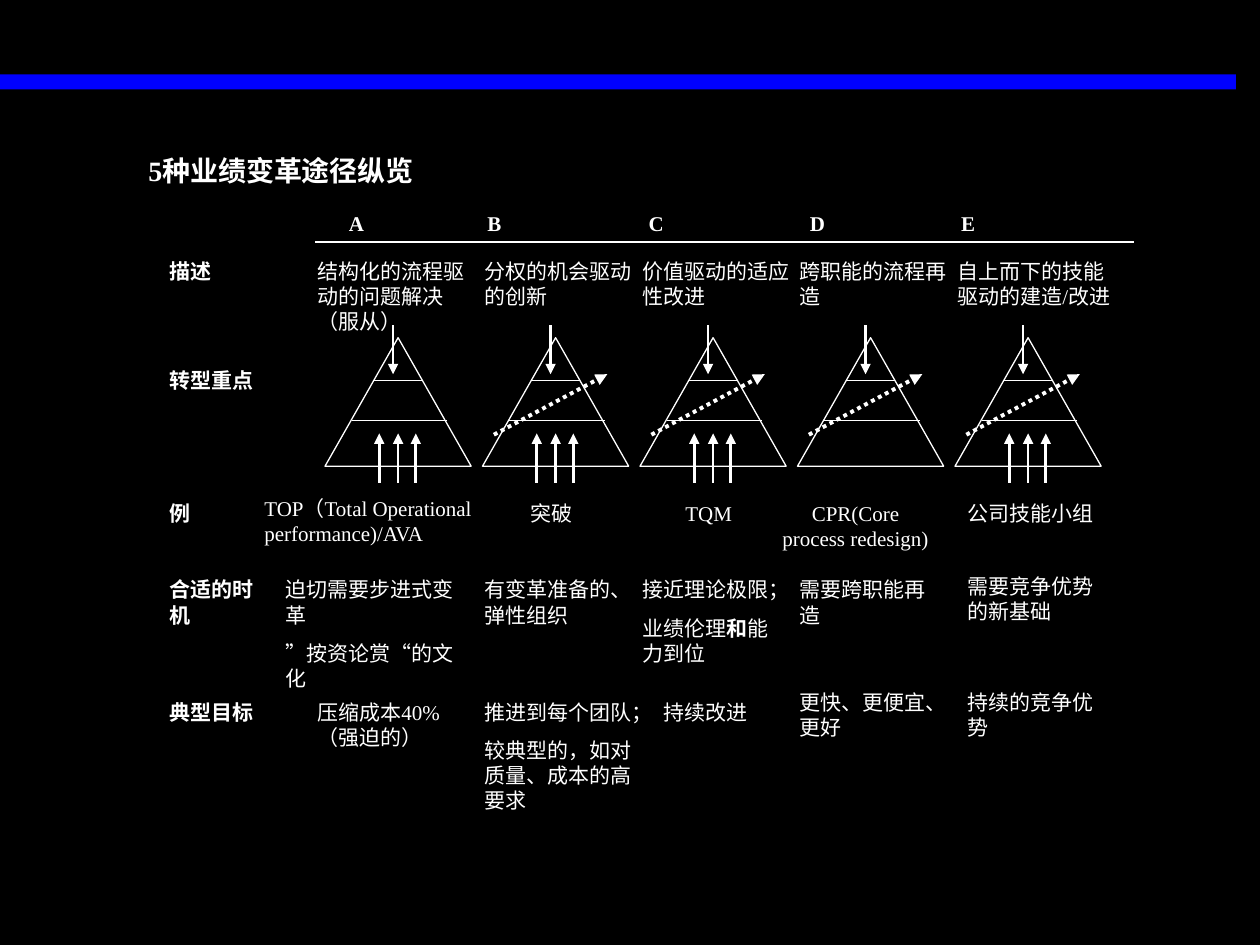
from dataclasses import dataclass

from lxml import etree
from pptx import Presentation
from pptx.dml.color import RGBColor
from pptx.enum.dml import MSO_LINE_DASH_STYLE as Dash
from pptx.enum.shapes import MSO_CONNECTOR as Connector, MSO_SHAPE as Preset
from pptx.enum.text import MSO_AUTO_SIZE as AutoSize, PP_ALIGN as Align
from pptx.oxml.ns import qn
from pptx.util import Inches, Pt

BLACK, WHITE, BLUE = "000000", "FFFFFF", "0000FE"
FONT = "Times New Roman"
LABEL_LEFT = 1.25
PYRAMID_LEFT, PYRAMID_PITCH = 2.58, 1.25


@dataclass
class TextBlock:
    """Each paragraph is a tuple of runs; every second run switches weight."""
    left: float
    top: float
    width: float
    height: float
    paragraphs: tuple[tuple[str, ...], ...]
    align: Align = Align.LEFT
    bold: bool = False
    size: float = 12
    tabs: tuple[float, ...] = ()


@dataclass
class Label:
    text: str
    top: float
    width: float = 1
    height: float = 0.3


@dataclass
class Stroke:
    start: tuple[float, float]
    end: tuple[float, float]
    width: float = 0.75
    arrow: bool = False
    dash: Dash | None = None


@dataclass
class Approach:
    has_diagonal: bool = True
    has_upward: bool = True


def color(value: str) -> RGBColor:
    return RGBColor.from_string(value)


def apply_format(target, values: dict) -> None:
    for name, value in values.items():
        setattr(target, name, value)


def add_text(shapes, block: TextBlock) -> None:
    box = shapes.add_textbox(*map(Inches, (block.left, block.top, block.width, block.height)))
    frame = box.text_frame
    apply_format(frame, {"word_wrap": True, "auto_size": AutoSize.SHAPE_TO_FIT_TEXT})
    for index, runs in enumerate(block.paragraphs):
        paragraph = frame.add_paragraph() if index else frame.paragraphs[0]
        paragraph.alignment = block.align
        if index:
            paragraph.space_before = Pt(7.5)
        if block.tabs:
            tab_list = etree.SubElement(paragraph._p.get_or_add_pPr(), qn("a:tabLst"))
            for position in block.tabs:
                etree.SubElement(tab_list, qn("a:tab"), pos=str(Inches(position)), algn="l")
        for run_index, text in enumerate(runs):
            run = paragraph.add_run()
            run.text = text
            bold = block.bold != bool(run_index % 2)
            apply_format(run.font, {"name": FONT, "size": Pt(block.size), "bold": bold})
            run.font.color.rgb = color(WHITE)


def add_stroke(shapes, stroke: Stroke) -> None:
    connector = shapes.add_connector(
        Connector.STRAIGHT, *map(Inches, (*stroke.start, *stroke.end)))
    apply_format(connector.line, {"width": Pt(stroke.width), "dash_style": stroke.dash})
    connector.line.color.rgb = color(WHITE)
    if stroke.arrow:
        etree.SubElement(connector.line._get_or_add_ln(), qn("a:tailEnd"), type="triangle")
    etree.SubElement(connector._element.spPr, qn("a:effectLst"))


def add_filled_shape(shapes, preset: Preset, bounds: tuple[float, ...], fill: str,
                     outline: str | None = None):
    shape = shapes.add_shape(preset, *map(Inches, bounds))
    shape.shadow.inherit = False
    shape.fill.solid()
    shape.fill.fore_color.rgb = color(fill)
    if outline:
        shape.line.width = Pt(0.75)
        shape.line.color.rgb = color(outline)
    else:
        shape.line.fill.background()


def add_pyramid(shapes, left: float, approach: Approach) -> None:
    group = shapes.add_group_shape().shapes
    add_filled_shape(group, Preset.ISOSCELES_TRIANGLE, (left, 2.68, 1.16, 1.02), BLACK, WHITE)
    strokes = [
        Stroke((left + 0.39, 3.02), (left + 0.77, 3.02)),
        Stroke((left + 0.21, 3.34), (left + 0.97, 3.34)),
        Stroke((left + 0.54, 2.58), (left + 0.54, 2.97), 1.5, arrow=True),
    ]
    if approach.has_upward:
        strokes += [Stroke((left + x, 3.83), (left + x, 3.44), 1.5, arrow=True)
                    for x in (0.43, 0.58, 0.72)]
    if approach.has_diagonal:
        strokes.append(Stroke((left + 0.09, 3.45), (left + 0.99, 2.97), 2.25,
                              arrow=True, dash=Dash.ROUND_DOT))
    for stroke in strokes:
        add_stroke(group, stroke)


HEADINGS = (
    TextBlock(1.08, 1.17, 2.75, 0.64, (("5种业绩变革途径纵览",),), bold=True, size=16),
    TextBlock(2.67, 1.62, 6.17, 0.3, (("A\tB\tC\tD\tE",),), bold=True,
              tabs=(1.1, 2.38, 3.66, 4.86)),
)

LABELS = (
    Label("描述", 2, width=0.67),
    Label("转型重点", 2.87),
    Label("例", 3.92),
    Label("合适的时机", 4.53, height=0.5),
    Label("典型目标", 5.5),
)

APPROACHES = (
    Approach(has_diagonal=False),
    Approach(),
    Approach(),
    Approach(has_upward=False),
    Approach(),
)

CELLS = (
    # Description
    TextBlock(2.42, 2, 1.42, 0.7, (("结构化的流程驱动的问题解决（服从）",),)),
    TextBlock(3.75, 2, 1.42, 0.5, (("分权的机会驱动的创新",),)),
    TextBlock(5, 2, 1.42, 0.5, (("价值驱动的适应性改进",),)),
    TextBlock(6.25, 2, 1.42, 0.5, (("跨职能的流程再造",),)),
    TextBlock(7.5, 2, 1.42, 0.7, (("自上而下的技能驱动的建造/改进",),)),
    # Examples
    TextBlock(2, 3.88, 2, 0.5, (("TOP（Total Operational performance)/AVA",),)),
    TextBlock(3.75, 3.92, 1.25, 0.3, (("突破",),), Align.CENTER),
    TextBlock(5, 3.92, 1.25, 0.3, (("TQM",),), Align.CENTER),
    TextBlock(6.08, 3.92, 1.42, 0.5, (("CPR(Core process redesign)",),), Align.CENTER),
    TextBlock(7.58, 3.92, 1.33, 0.3, (("公司技能小组",),)),
    # Suitable timing
    TextBlock(2.17, 4.53, 1.67, 1.01, (("迫切需要步进式变革",), ("”按资论赏“的文化",))),
    TextBlock(3.75, 4.53, 1.42, 0.5, (("有变革准备的、弹性组织",),)),
    TextBlock(5, 4.53, 1.25, 0.81, (("接近理论极限；",), ("业绩伦理", "和", "能力到位"))),
    TextBlock(6.25, 4.53, 1.33, 0.5, (("需要跨职能再造",),)),
    TextBlock(7.58, 4.5, 1.33, 0.5, (("需要竞争优势的新基础",),)),
    # Typical goals
    TextBlock(2.42, 5.5, 1.42, 0.5, (("压缩成本40%（强迫的）",),)),
    TextBlock(3.75, 5.5, 1.42, 1.01,
              (("推进到每个团队；",), ("较典型的，如对质量、成本的高要求",))),
    TextBlock(5.17, 5.5, 1.25, 0.3, (("持续改进",),)),
    TextBlock(6.25, 5.42, 1.33, 0.5, (("更快、更便宜、更好",),)),
    TextBlock(7.58, 5.42, 1.33, 0.5, (("持续的竞争优势",),)),
)


def main() -> None:
    presentation = Presentation()
    apply_format(presentation, {"slide_width": Inches(10), "slide_height": Inches(7.5)})
    slide = presentation.slides.add_slide(presentation.slide_layouts[6])
    slide.background.fill.solid()
    slide.background.fill.fore_color.rgb = color(BLACK)
    shapes = slide.shapes

    # Top bar
    add_filled_shape(shapes, Preset.RECTANGLE, (0, 0.59, 9.81, 0.12), BLUE)

    # Pyramids, one for each approach
    for index, approach in enumerate(APPROACHES):
        add_pyramid(shapes, PYRAMID_LEFT + index * PYRAMID_PITCH, approach)

    # Title, column letters and the rule below them
    add_stroke(shapes, Stroke((2.5, 1.92), (9, 1.92)))
    for heading in HEADINGS:
        add_text(shapes, heading)

    # Row labels and cell texts
    for label in LABELS:
        add_text(shapes, TextBlock(LABEL_LEFT, label.top, label.width, label.height,
                                   ((label.text,),), bold=True))
    for cell in CELLS:
        add_text(shapes, cell)

    presentation.save("out.pptx")


if __name__ == "__main__":
    main()
